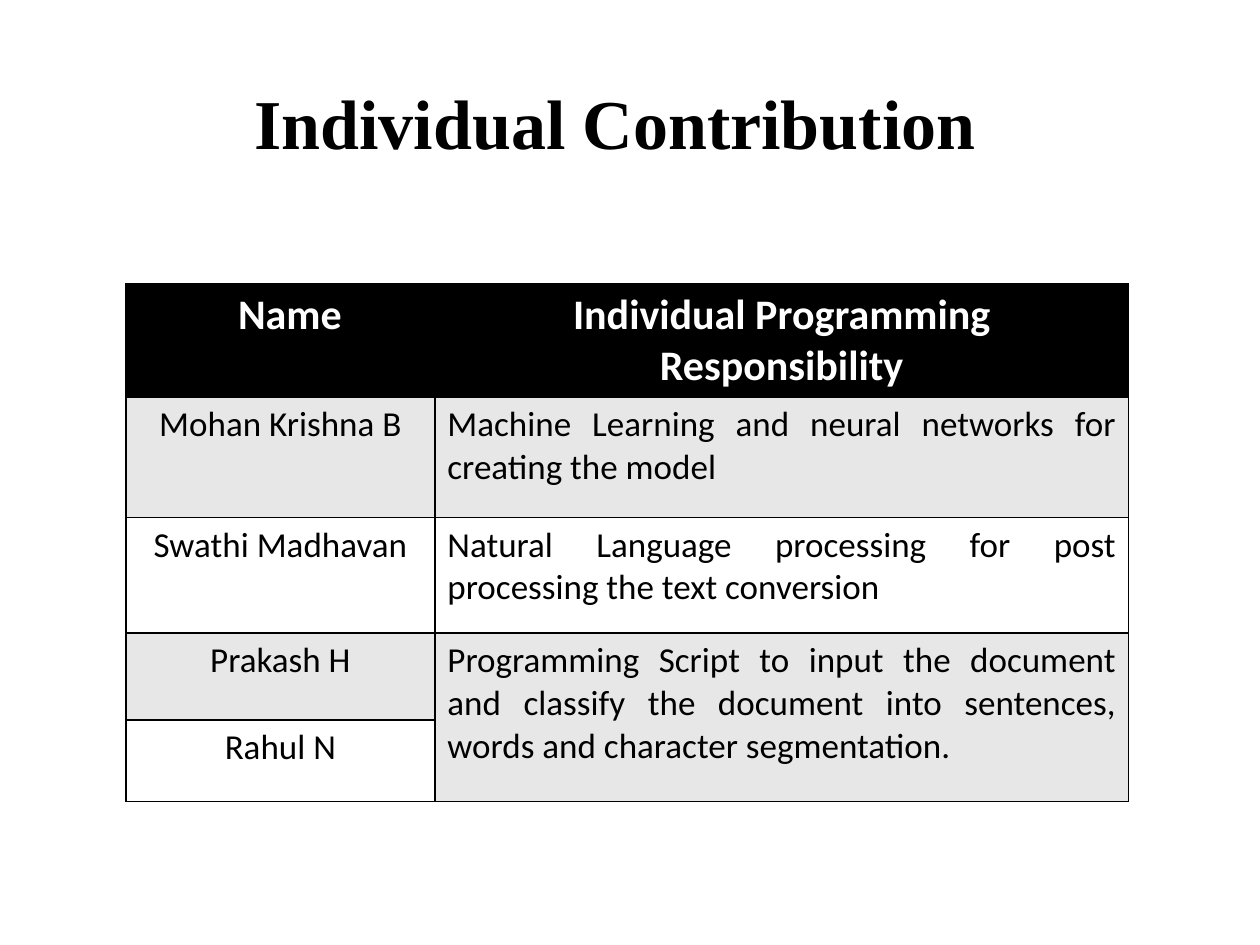
"""Build the Individual Contribution slide."""
from lxml.etree import SubElement
from pptx import Presentation
from pptx.dml.color import RGBColor
from pptx.enum.text import MSO_AUTO_SIZE, PP_ALIGN as Align
from pptx.oxml.ns import qn
from pptx.util import Pt

BLACK = RGBColor(0x00, 0x00, 0x00)
WHITE = RGBColor(0xFF, 0xFF, 0xFF)
GRAY = RGBColor(0xE7, 0xE7, 0xE7)

ROWS = [
    ("Name", "Individual Programming Responsibility"),
    ("Mohan Krishna B", "Machine Learning and neural networks for creating the model"),
    ("Swathi Madhavan", "Natural Language processing for post processing the text conversion"),
    ("Prakash H", "Programming Script to input the document and classify the document "
                  "into sentences, words and character segmentation."),
    ("Rahul N", ""),
]
COLUMN_WIDTHS = [176.5, 396.5]
ROW_HEIGHTS = [64.8, 68.8, 66, 49.7, 46.8]


def set_font(paragraph, name, size, color, bold):
    font = paragraph.font
    font.name, font.size, font.bold = name, Pt(size), bold
    font.color.rgb = color


def add_borders(cell):
    properties = cell._tc.get_or_add_tcPr()
    for side in ("a:lnL", "a:lnR", "a:lnT", "a:lnB"):
        line = SubElement(properties, qn(side), w=str(Pt(1)))
        fill = SubElement(line, qn("a:solidFill"))
        SubElement(fill, qn("a:srgbClr"), val=str(BLACK))


prs = Presentation()
prs.slide_width, prs.slide_height = Pt(720), Pt(540)
slide = prs.slides.add_slide(prs.slide_layouts[6])

title = slide.shapes.add_textbox(Pt(138.3), Pt(42), Pt(431), Pt(55.4)).text_frame
title.word_wrap = False
title.auto_size = MSO_AUTO_SIZE.SHAPE_TO_FIT_TEXT
title.text = "Individual Contribution"
set_font(title.paragraphs[0], "Times New Roman", 40, BLACK, True)

contributions = slide.shapes.add_table(
    len(ROWS), len(COLUMN_WIDTHS), Pt(72), Pt(162),
    Pt(sum(COLUMN_WIDTHS)), Pt(sum(ROW_HEIGHTS))).table
for column, width in zip(contributions.columns, COLUMN_WIDTHS):
    column.width = Pt(width)
for row, height in zip(contributions.rows, ROW_HEIGHTS):
    row.height = Pt(height)

for r, texts in enumerate(ROWS):
    header = r == 0
    background = BLACK if header else GRAY if r % 2 else WHITE
    for c, text in enumerate(texts):
        cell = contributions.cell(r, c)
        add_borders(cell)
        cell.fill.solid()
        cell.fill.fore_color.rgb = background
        cell.text = text
        paragraph = cell.text_frame.paragraphs[0]
        paragraph.alignment = Align.CENTER if header or c == 0 else Align.JUSTIFY
        set_font(paragraph, "Calibri", 24 if header else 20,
                 WHITE if header else BLACK, header)

contributions.cell(0, 0).margin_left = Pt(18)
contributions.cell(3, 1).merge(contributions.cell(4, 1))

prs.save("out.pptx")
